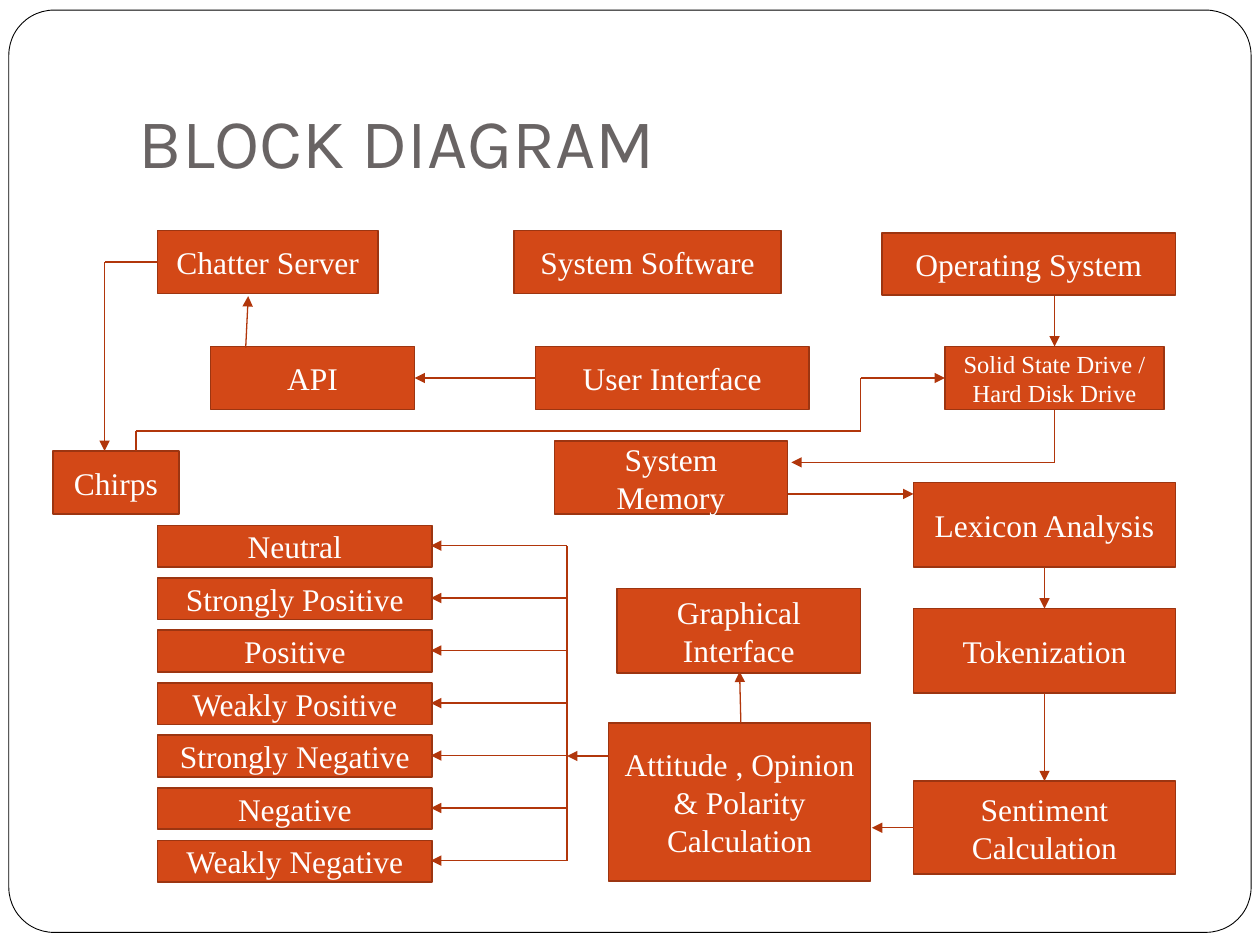
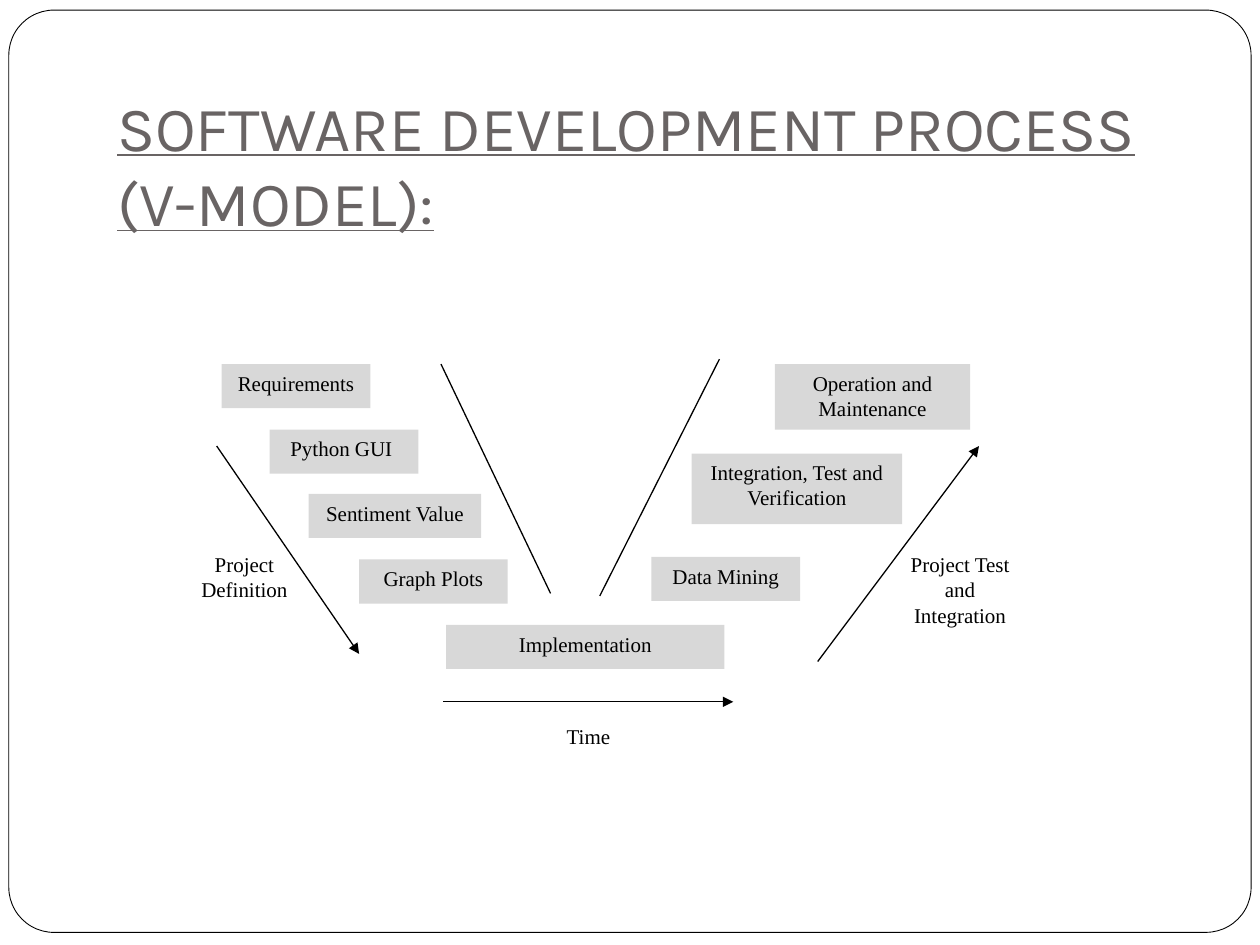
"""Build a block diagram slide and a V-model slide."""
from itertools import pairwise

from pptx import Presentation
from pptx import util as u
from pptx.dml.color import RGBColor
from pptx.enum import shapes, text
from pptx.oxml.ns import qn
from lxml import etree

WHITE = RGBColor(0xFF, 0xFF, 0xFF)
BLACK = RGBColor(0x00, 0x00, 0x00)
TITLE_GREY = RGBColor(0x69, 0x64, 0x64)
BLOCK_ORANGE = RGBColor(0xD3, 0x48, 0x17)
BLOCK_EDGE = RGBColor(0x9C, 0x35, 0x11)
ARROW_ORANGE = RGBColor(0xB1, 0x36, 0x0B)
STEP_GREY = RGBColor(0xD8, 0xD8, 0xD8)
TITLE_FONT = "Karla"
BODY_FONT = "Times New Roman"


class Board:
    """Holds the deck style and draws on the current page."""

    def __init__(self):
        self.deck = Presentation()
        self.deck.slide_width = u.Inches(10)
        self.deck.slide_height = u.Inches(7.5)
        self.page = None

    def start_page(self, title, left, top, size, underline=False):
        self.page = self.deck.slides.add_slide(self.deck.slide_layouts[5])
        holder = self.page.shapes.title
        holder.left, holder.top = u.Inches(left), u.Inches(top)
        holder.width, holder.height = u.Inches(8.5), u.Inches(1.25)
        frame = holder.text_frame
        frame.text = title
        frame.word_wrap = True
        frame.auto_size = text.MSO_AUTO_SIZE.NONE
        frame.vertical_anchor = text.MSO_ANCHOR.BOTTOM
        frame.margin_bottom = u.Inches(0.1)
        para = frame.paragraphs[0]
        para.alignment = text.PP_ALIGN.LEFT
        self.style_font(para.font, TITLE_FONT, size, TITLE_GREY)
        para.font.underline = underline
        border = self.shape(shapes.MSO_SHAPE.ROUNDED_RECTANGLE,
                            (0.07, 0.08, 9.86, 7.32), WHITE, BLACK, 0.5)
        border.adjustments[0] = 0.049
        holder.element.addprevious(border.element)

    def style_font(self, font, name, size, color):
        font.name, font.size = name, u.Pt(size)
        font.color.rgb = color

    def shape(self, kind, place, fill, edge=None, edge_width=1):
        shape = self.page.shapes.add_shape(kind, *map(u.Inches, place))
        shape.shadow.inherit = False
        shape.fill.solid()
        shape.fill.fore_color.rgb = fill
        if edge is None:
            shape.line.fill.background()
        else:
            shape.line.color.rgb = edge
            shape.line.width = u.Pt(edge_width)
        return shape

    def box(self, label, place, fill, edge, color, size, anchor, space_after=0):
        box = self.shape(shapes.MSO_SHAPE.RECTANGLE, place, fill, edge)
        frame = box.text_frame
        frame.text = label
        frame.word_wrap = True
        frame.vertical_anchor = anchor
        para = frame.paragraphs[0]
        para.alignment = text.PP_ALIGN.CENTER
        para.space_after = u.Pt(space_after)
        self.style_font(para.font, BODY_FONT, size, color)

    def block(self, label, *place, size=18):
        self.box(label, place, BLOCK_ORANGE, BLOCK_EDGE, WHITE, size,
                 text.MSO_ANCHOR.MIDDLE)

    def step(self, label, *place, fill=STEP_GREY):
        self.box(label, place, fill, None, BLACK, 12, text.MSO_ANCHOR.TOP, 1.5)

    def route(self, *points, color=ARROW_ORANGE, arrow=True):
        for start, end in pairwise(points):
            line = self.page.shapes.add_connector(
                shapes.MSO_CONNECTOR.STRAIGHT, *map(u.Inches, start + end))
            line.line.color.rgb = color
            line.line.width = u.Pt(0.75)
            properties = line.element.spPr
            etree.SubElement(properties, qn("a:effectLst"))
        if arrow:
            etree.SubElement(properties.find(qn("a:ln")), qn("a:tailEnd"),
                             type="triangle")


def draw_block_diagram(board):
    board.start_page("BLOCK DIAGRAM", 1, 0.3, 40)

    board.block("Chatter Server", 1.25, 1.83, 1.75, 0.5)
    board.block("System Software", 4.08, 1.83, 2.12, 0.5)
    board.block("Operating System", 7, 1.85, 2.33, 0.49)
    board.block("API", 1.67, 2.75, 1.62, 0.5)
    board.block("User Interface", 4.25, 2.75, 2.17, 0.5)
    board.block("Solid State Drive / Hard Disk Drive", 7.5, 2.75, 1.74, 0.5, size=14)
    board.block("Chirps", 0.42, 3.58, 1, 0.5)
    board.block("System Memory", 4.4, 3.5, 1.85, 0.58)
    board.block("Lexicon Analysis", 7.25, 3.83, 2.08, 0.67)
    board.block("Tokenization", 7.25, 4.83, 2.08, 0.67)
    board.block("Sentiment Calculation", 7.25, 6.2, 2.08, 0.74)
    board.block("Attitude , Opinion & Polarity Calculation", 4.83, 5.74, 2.08, 1.25)
    board.block("Graphical Interface", 4.9, 4.67, 1.93, 0.67)

    board.route((4.25, 3), (3.29, 3))
    board.route((1.95, 2.76), (1.97, 2.35))
    board.route((1.25, 2.08), (0.83, 2.08), (0.83, 3.58))
    board.route((1.08, 3.58), (1.08, 3.42), (6.83, 3.42), (6.83, 3), (7.5, 3))
    board.route((8.37, 2.35), (8.37, 2.75))
    board.route((8.37, 3.25), (8.37, 3.67), (6.28, 3.67))
    board.route((6.25, 3.92), (7.25, 3.92))
    board.route((8.29, 4.5), (8.29, 4.83))
    board.route((8.29, 5.5), (8.29, 6.2))
    board.route((7.25, 6.57), (6.92, 6.57))
    board.route((5.88, 5.74), (5.87, 5.33))
    board.route((4.83, 6), (4.5, 6))
    board.route((4.5, 6.83), (4.5, 4.33), arrow=False)

    sentiments = ("Neutral", "Strongly Positive", "Positive", "Weakly Positive",
                  "Strongly Negative", "Negative", "Weakly Negative")
    for row, sentiment in enumerate(sentiments):
        middle = 4.33 + row * 2.5 / 6
        board.block(sentiment, 1.25, middle - 0.16, 2.18, 0.33)
        board.route((4.5, middle), (3.75, middle), (3.42, middle))


def draw_v_model(board):
    board.start_page("SOFTWARE DEVELOPMENT PROCESS (V-MODEL):", 0.83, 0.75, 36,
                     underline=True)

    board.step("Project Definition", 1.35, 4.33, 1.18, 0.52, fill=WHITE)
    board.step("Project Test and Integration", 7.03, 4.33, 1.18, 0.8, fill=WHITE)
    board.step("Time", 4.08, 5.69, 1.18, 0.32, fill=WHITE)
    board.step("Requirements", 1.76, 2.89, 1.18, 0.35)
    board.step("Python GUI ", 2.14, 3.41, 1.18, 0.35)
    board.step("Sentiment Value", 2.45, 3.92, 1.37, 0.35)
    board.step("Graph Plots", 2.85, 4.44, 1.18, 0.35)
    board.step("Implementation", 3.54, 4.96, 2.21, 0.35)
    board.step("Data Mining", 5.17, 4.42, 1.18, 0.35)
    board.step("Integration, Test and Verification", 5.49, 3.6, 1.67, 0.56)
    board.step("Operation and Maintenance", 6.15, 2.89, 1.55, 0.52)

    board.route((1.72, 3.54), (2.85, 5.19), color=BLACK)
    board.route((6.49, 5.25), (7.77, 3.54), color=BLACK)
    board.route((3.52, 5.57), (5.82, 5.57), color=BLACK)
    board.route((3.5, 2.89), (4.37, 4.71), color=BLACK, arrow=False)
    board.route((4.76, 4.73), (5.71, 2.85), color=BLACK, arrow=False)


def main():
    board = Board()
    draw_block_diagram(board)
    draw_v_model(board)
    board.deck.save("out.pptx")


if __name__ == "__main__":
    main()
